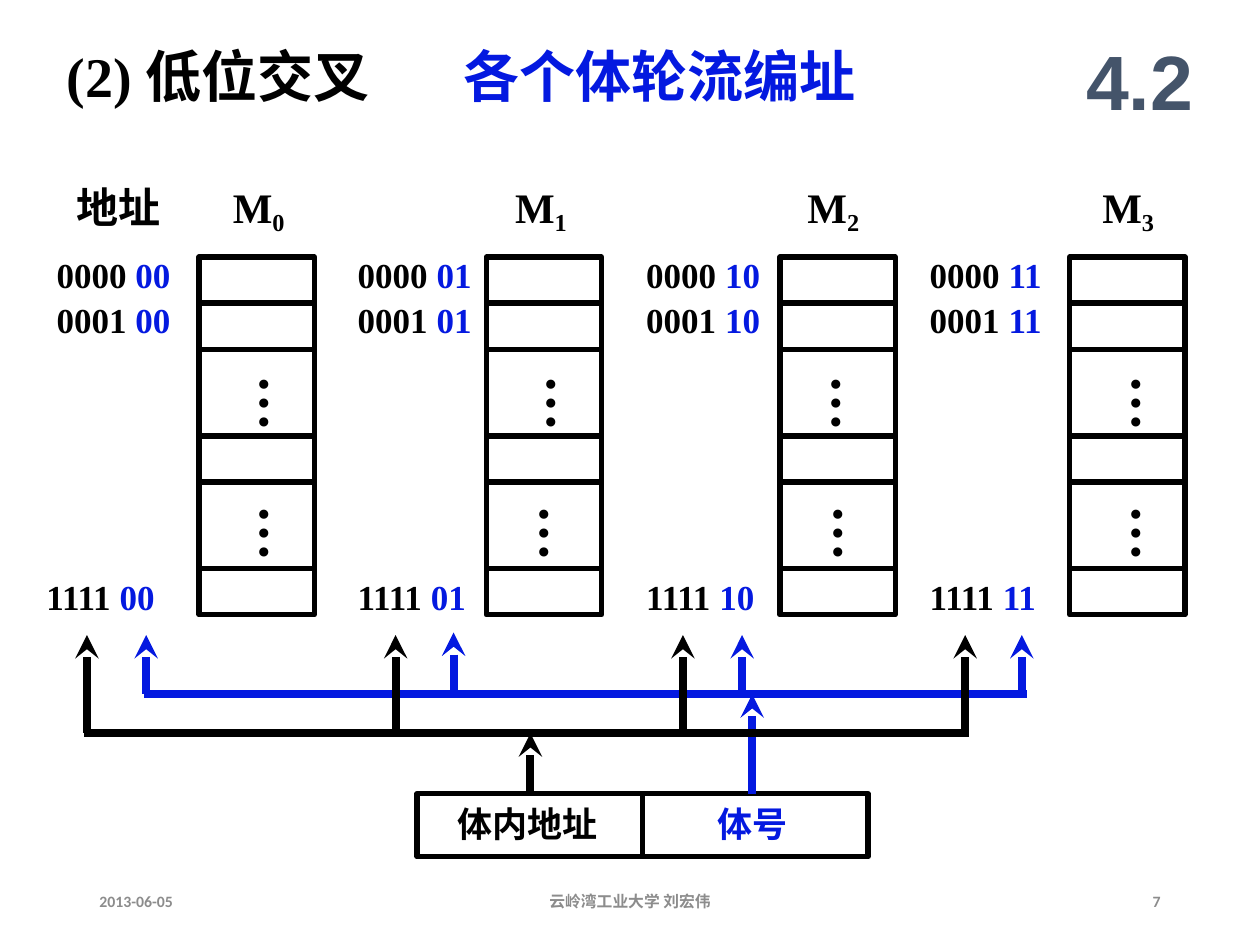
from dataclasses import dataclass
from itertools import accumulate
from lxml.etree import SubElement as Sub
from pptx import Presentation
from pptx.dml.color import RGBColor as Rgb
from pptx.enum.shapes import MSO_CONNECTOR as Link, MSO_SHAPE as Kind
from pptx.enum.text import MSO_ANCHOR as Anchor, PP_ALIGN as Align
from pptx.oxml.ns import qn
from pptx.util import Inches, Pt

COLS, ROWS = 100, 75
INK = {"black": "000000", "blue": "0419E0", "slate": "44546A", "gray": "8C8C8C"}
SERIF = "Times New Roman"

deck = Presentation()
deck.slide_width, deck.slide_height = Inches(10), Inches(7.5)
slide = deck.slides.add_slide(deck.slide_layouts[6])
shapes = slide.shapes


def col(n: float) -> int:
    return round(deck.slide_width * n / COLS)


def row(n: float) -> int:
    return round(deck.slide_height * n / ROWS)


@dataclass
class Run:
    text: str
    ink: str = "black"
    size: float = 20
    face: str = SERIF
    base: int = 0


@dataclass
class Label:
    x: float
    y: float
    w: float
    h: float
    runs: list[Run]
    wrap: bool = True
    align: Align = Align.LEFT
    anchor: Anchor = Anchor.TOP
    vert: bool = False


@dataclass
class Bank:
    x: float
    name: float
    upper: float
    lower: float
    tag: float
    last: float
    code: str


@dataclass
class Bus:
    ink: str
    left: float
    right: float
    y: float
    taps: list[tuple[float, float]]
    feed: float


def write(label: Label) -> None:
    box = shapes.add_textbox(col(label.x), row(label.y), col(label.w), row(label.h))
    frame = box.text_frame
    frame.word_wrap = label.wrap
    frame.vertical_anchor = label.anchor
    if label.vert:
        frame._txBody.bodyPr.set("vert", "eaVert")
    para = frame.paragraphs[0]
    para.alignment = label.align
    for part in label.runs:
        run = para.add_run()
        run.text = part.text
        font = run.font
        font.name, font.size, font.bold = part.face, Pt(part.size), True
        font.color.rgb = Rgb.from_string(INK[part.ink])
        if part.base:
            font._element.set("baseline", str(part.base * 1000))


def frame_box(x: float, y: float, w: float, h: float) -> None:
    box = shapes.add_shape(Kind.RECTANGLE, col(x), row(y), col(w), row(h))
    box.shadow.inherit = False
    box.fill.background()
    box.line.color.rgb = Rgb.from_string(INK["black"])
    box.line.width = Pt(3)


def rule(x: float, y: float, to_x: float, to_y: float, ink: str = "black",
         width: float = 3, tip: bool = False) -> None:
    line = shapes.add_connector(Link.STRAIGHT, col(x), row(y), col(to_x), row(to_y))
    line.line.color.rgb = Rgb.from_string(INK[ink])
    line.line.width = Pt(width)
    if tip:
        Sub(line.line._get_or_add_ln(), qn("a:headEnd"), type="stealth")
    Sub(line._element.spPr, qn("a:effectLst"))


CELL, GAP, WIDE, TOP = 3.66, 6.88, 9.15, 20.4
EDGES = list(accumulate([CELL, CELL, GAP, CELL, GAP, CELL], initial=TOP))


def draw_bank(bank: Bank, index: int) -> None:
    end = bank.x + WIDE
    write(Label(bank.name, 13.9, 6.3, 5,
                [Run("M", size=24), Run(str(index), size=24, base=-20)], wrap=False))
    for top, low in zip(EDGES, EDGES[1:]):
        frame_box(bank.x, top, WIDE, low - top)
    for y in EDGES:
        rule(bank.x, y, end, y)
    for x in (bank.x, end):
        rule(x, TOP, x, EDGES[-1])
    for x, y in ((bank.upper, 28.8), (bank.lower, 39.1)):
        write(Label(x, y, 7.3, 5.5, [Run("…", size=32)], wrap=False, vert=True))
    for x, y, high in ((bank.tag, 19.6, "0000 "), (bank.tag, 23.2, "0001 "),
                       (bank.last, 45.2, "1111 ")):
        write(Label(x, y, 11.5, 4.3, [Run(high), Run(bank.code, "blue")]))


def draw_bus(bus: Bus) -> None:
    rule(bus.left, bus.y, bus.right, bus.y, bus.ink, 4.5)
    for x, y in bus.taps:
        rule(x, y, x, y + bus.y - 50.4, bus.ink, 4.5, True)
    rule(bus.feed, bus.y, bus.feed, FIELD, bus.ink, 4.5, True)


FIELD, HALF = 63, 17.9
BANKS = [
    Bank(15.8, 17.5, 18.3, 18.3, 3.5, 2.7, "00"),
    Bank(38.6, 39.9, 41.1, 40.5, 27.4, 27.4, "01"),
    Bank(61.9, 63.1, 63.7, 63.9, 50.3, 50.3, "10"),
    Bank(84.9, 86.5, 87.5, 87.5, 72.8, 72.8, "11"),
]
BUSES = [
    Bus("blue", 11.4, 81.5, 55.1,
        [(11.6, 50.4), (36, 50.2), (58.9, 50.4), (81.1, 50.4)], 59.7),
    Bus("black", 6.7, 76.9, 58.2,
        [(6.9, 50.4), (31.4, 50.4), (54.2, 50.4), (76.6, 50.4)], 42.1),
]


def foot(x: float, w: float, text: str, align: Align) -> Label:
    return Label(x, 69.5, w, 4, [Run(text, "gray", 9, "Calibri")],
                 align=align, anchor=Anchor.MIDDLE)


LABELS = [
    Label(84.2, 1.7, 12.5, 9.2, [Run("4.2", "slate", 44, "Arial")],
          align=Align.CENTER, anchor=Anchor.MIDDLE),
    Label(4.3, 2.8, 30, 6.3, [Run("(2) 低位交叉", size=32)]),
    Label(35.8, 2.8, 46, 6.3, [Run("各个体轮流编址", "blue", 32)]),
    Label(5.1, 13.9, 8.7, 5, [Run("地址", size=24)], wrap=False),
    Label(35.3, 63.2, 13.1, 4.3, [Run("体内地址")], wrap=False),
    Label(56, 63.2, 7.6, 4.3, [Run("体号", "blue")], wrap=False),
    foot(6.9, 22.5, "2013-06-05", Align.LEFT),
    foot(33.1, 33.8, "云岭湾工业大学 刘宏伟", Align.CENTER),
    foot(70.6, 22.5, "7", Align.RIGHT),
]

for index, bank in enumerate(BANKS):
    draw_bank(bank, index)
for side in range(2):
    frame_box(33.1 + side * HALF, FIELD, HALF, 5)
for bus in BUSES:
    draw_bus(bus)
for label in LABELS:
    write(label)

deck.save("out.pptx")
